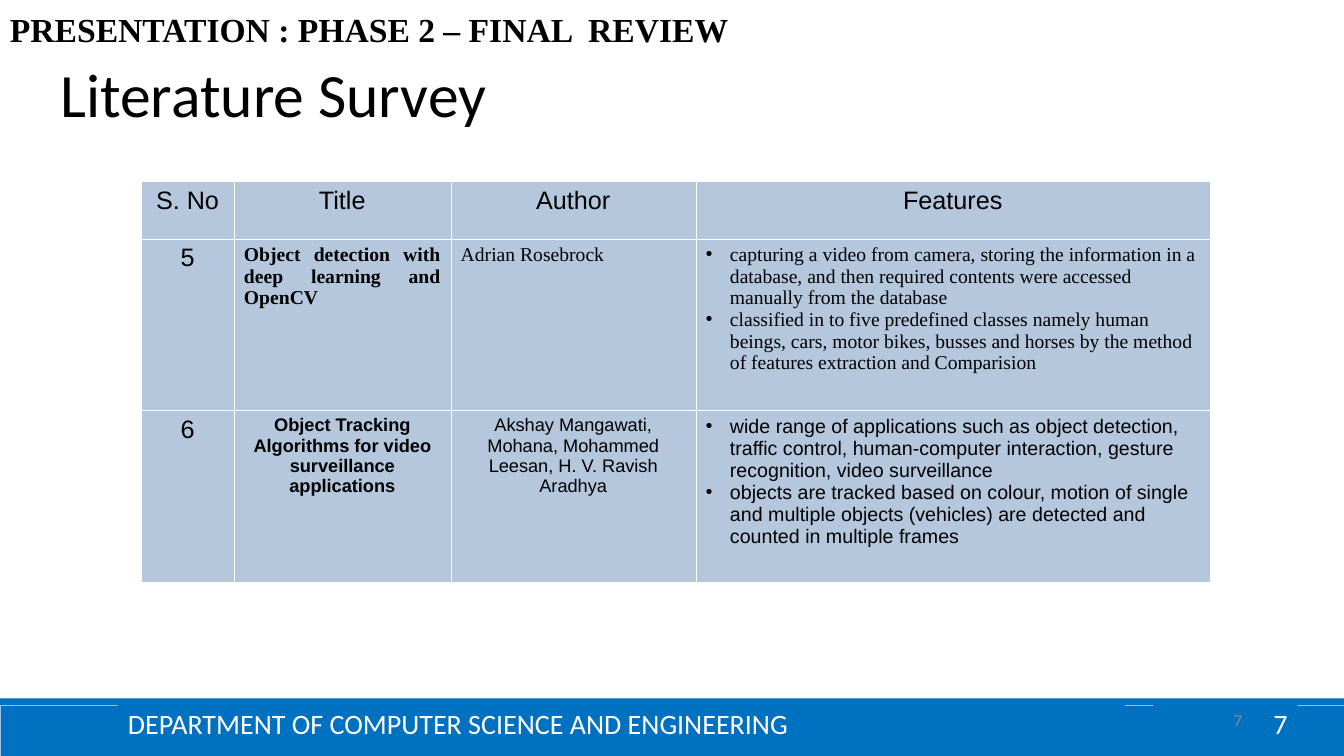
import pptx
import pptx.util
import pptx.dml.color
import pptx.enum.shapes
import pptx.enum.text
import pptx.oxml
import lxml.etree

# Content
HEAD = "PRESENTATION : PHASE 2 – FINAL  REVIEW"
TITLE = "Literature Survey"
DEPT = "DEPARTMENT OF COMPUTER SCIENCE AND ENGINEERING"
PAGE = "7"
ROMAN = "Times New Roman"
BIG = dict(size=18, font="Arial", align="CENTER")
SERIF = dict(size=14, font=ROMAN, align="JUSTIFY")
SANS = dict(size=13, font="Arial", align="CENTER")
ROWS = [
    [(["S. No"], BIG), (["Title"], BIG), (["Author"], BIG), (["Features"], BIG)],
    [(["5"], BIG),
     (["Object detection with deep learning and OpenCV"], dict(SERIF, bold=True)),
     (["Adrian Rosebrock"], SERIF),
     (["capturing a video from camera, storing the information in a database, "
       "and then required contents were accessed manually from the database",
       "classified in to five predefined classes namely human beings, cars, "
       "motor bikes, busses and horses by the method of features extraction "
       "and Comparision"], dict(size=14, font=ROMAN, bullet="●"))],
    [(["6"], BIG),
     (["Object Tracking Algorithms for video surveillance applications"],
      dict(SANS, bold=True)),
     (["Akshay Mangawati, Mohana, Mohammed Leesan, H. V. Ravish Aradhya"], SANS),
     (["wide range of applications such as object detection, traffic control, "
       "human-computer interaction, gesture recognition, video surveillance",
       "objects are tracked based on colour, motion of single and multiple "
       "objects (vehicles) are detected and counted in multiple frames"],
      dict(size=14, font="Arial", bullet="●"))],
]

# Measures in inches
WIDE, HIGH = 13.33, 7.5
COLS = [0.92, 2.15, 2.43, 5.1]
TALL = [0.57, 1.7, 1.7]
BAND, STRIP = 0.5, 0.07
BLUE, PALE, EDGE = "0070C0", "B4C7DC", "9CC3E6"
inch = pptx.util.Inches


def color(code):
    return pptx.dml.color.RGBColor.from_string(code)


def add_xml(node, tag, **attrs):
    name = pptx.oxml.ns.qn("a:" + tag)
    return lxml.etree.SubElement(node, name, attrs)


def write(frame, lines, size=18, font="Calibri", ink="000000", bold=False,
          align="LEFT", bullet=None, space=None, anchor=None):
    frame.word_wrap = True
    if anchor:
        frame.vertical_anchor = anchor
    for n, line in enumerate(lines):
        para = frame.paragraphs[0] if n == 0 else frame.add_paragraph()
        para.alignment = getattr(pptx.enum.text.PP_ALIGN, align)
        if space:
            para.line_spacing = space
        run = para.add_run()
        run.text = line
        run.font.size = pptx.util.Pt(size)
        run.font.name = font
        run.font.bold = bold
        run.font.color.rgb = color(ink)
        if bullet:
            props = para._p.get_or_add_pPr()
            props.set("marL", str(inch(0.24)))
            props.set("indent", str(-inch(0.24)))
            add_xml(add_xml(props, "buClr"), "srgbClr", val=ink)
            add_xml(props, "buSzPct", val="45000")
            add_xml(props, "buChar", char=bullet)


def block(slide, x, y, w, h, edge=None):
    kind = pptx.enum.shapes.MSO_SHAPE.RECTANGLE
    shape = slide.shapes.add_shape(kind, inch(x), inch(y), inch(w), inch(h))
    shape.shadow.inherit = False
    shape.fill.solid()
    shape.fill.fore_color.rgb = color(BLUE)
    if edge:
        shape.line.color.rgb = color(edge)
        shape.line.width = pptx.util.Pt(0.25)
    else:
        shape.line.fill.background()
    return shape.text_frame


def label(slide, x, y, w, h):
    return slide.shapes.add_textbox(inch(x), inch(y), inch(w), inch(h)).text_frame


def border(cell):
    props = cell._tc.get_or_add_tcPr()
    for side in ("lnL", "lnR", "lnT", "lnB"):
        line = add_xml(props, side, w="720")
        add_xml(add_xml(line, "solidFill"), "srgbClr", val="FFFFFF")


def main():
    deck = pptx.Presentation()
    deck.slide_width, deck.slide_height = inch(WIDE), inch(HIGH)
    slide = deck.slides.add_slide(deck.slide_layouts[6])
    mid = pptx.enum.text.MSO_ANCHOR.MIDDLE

    # Footer band
    top = HIGH - BAND
    block(slide, 0, top - STRIP, WIDE, STRIP)
    block(slide, 0, top, WIDE, BAND, edge=EDGE)
    foot = dict(size=20, ink="FFFFFF", anchor=mid)
    write(block(slide, 11.44, 6.98, 1.43, 0.39), [PAGE], align="RIGHT", **foot)
    write(block(slide, 1.17, 6.98, 9.99, 0.39), [DEPT], **foot)

    # Headings and small page number
    write(label(slide, 0, 0.04, 10.4, 0.5), [HEAD], size=24, font=ROMAN,
          bold=True, anchor=mid)
    write(label(slide, 0.5, 0.25, 11.5, 1.44), [TITLE], size=44, space=0.9,
          anchor=mid)
    write(label(slide, 9.42, 6.95, 3, 0.39), [PAGE], size=12, ink="8B8B8B",
          align="RIGHT", anchor=mid)

    # Survey table
    table = slide.shapes.add_table(len(TALL), len(COLS), inch(1.4), inch(1.8),
                                   inch(sum(COLS)), inch(sum(TALL))).table
    for col, width in zip(table.columns, COLS):
        col.width = inch(width)
    for row, height, cells in zip(table.rows, TALL, ROWS):
        row.height = inch(height)
        for cell, (lines, style) in zip(row.cells, cells):
            border(cell)
            cell.fill.solid()
            cell.fill.fore_color.rgb = color(PALE)
            write(cell.text_frame, lines, **style)

    deck.save("out.pptx")


if __name__ == "__main__":
    main()
